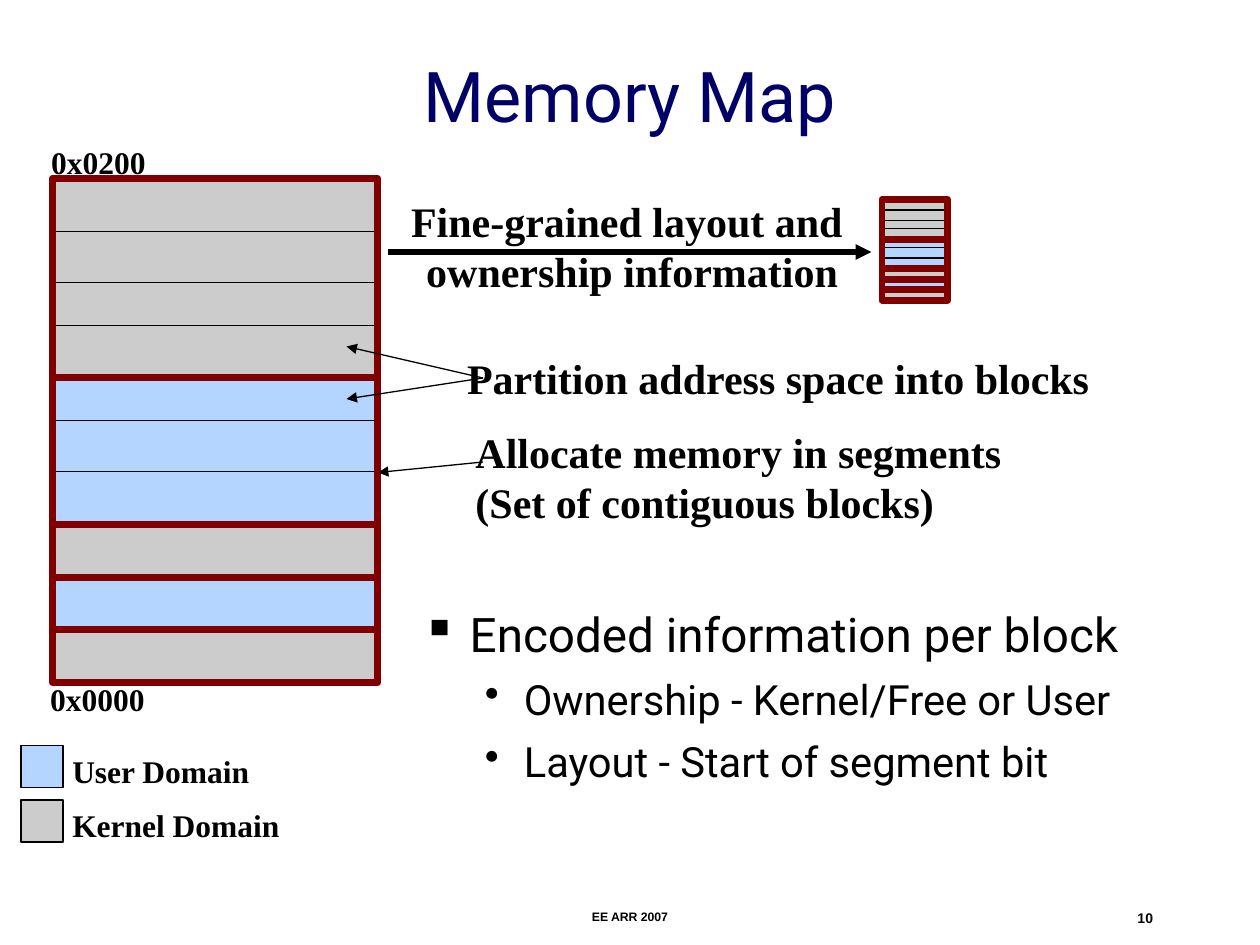
from lxml import etree
from pptx import Presentation
from pptx.dml.color import RGBColor
from pptx.enum.shapes import MSO_CONNECTOR, MSO_SHAPE
from pptx.enum.text import MSO_ANCHOR, PP_ALIGN
from pptx.oxml.ns import qn
from pptx.util import Inches, Pt

LEFT, CENTER, RIGHT = PP_ALIGN.LEFT, PP_ALIGN.CENTER, PP_ALIGN.RIGHT
TOP, MIDDLE = MSO_ANCHOR.TOP, MSO_ANCHOR.MIDDLE
RECT, STRAIGHT = MSO_SHAPE.RECTANGLE, MSO_CONNECTOR.STRAIGHT

COLORS = {
    "title": "000066",
    "ink": "000000",
    "user": "B4D5FF",
    "kernel": "CCCCCC",
    "segment": "800000",
}
SANS, SERIF, SMALL = "Roboto", "Times New Roman", "Arial"
COLS, ROWS = 120, 90

# Memory blocks from the top: row offset within the map, owner
BLOCK_HEIGHT = 4.92
BLOCKS = [
    (0.1, "kernel"), (5, "kernel"), (9.1, "kernel"), (13.9, "kernel"),
    (18.1, "user"), (23, "user"), (27.9, "user"),
    (33.1, "kernel"), (37.9, "user"), (43, "kernel"),
]
SEGMENT_ROWS = [19, 14, 5, 5, 5]


class SlideBuilder:
    """Draws on one slide; lengths are cells of a 120 by 90 grid."""

    def __init__(self, prs):
        self.s = prs.slides.add_slide(prs.slide_layouts[6])
        self.cell_w = prs.slide_width / COLS
        self.cell_h = prs.slide_height / ROWS

    def x(self, cols):
        return round(cols * self.cell_w)

    def y(self, rows):
        return round(rows * self.cell_h)

    def box(self, col, row, cols, rows):
        return self.x(col), self.y(row), self.x(cols), self.y(rows)

    def color(self, name):
        return RGBColor.from_string(COLORS[name])

    def text(self, at, lines, size, font=SERIF, color="ink", bold=True,
             align=LEFT, anchor=TOP):
        tf = self.s.shapes.add_textbox(*self.box(*at)).text_frame
        tf.word_wrap = True
        tf.vertical_anchor = anchor
        tf.text = "\n".join(lines)
        for p in tf.paragraphs:
            p.alignment = align
            self.style(p, size, font, color, bold)
        return tf

    def style(self, p, size, font, color, bold):
        for r in p.runs:
            r.font.size = Pt(size)
            r.font.name = font
            r.font.bold = bold
            r.font.color.rgb = self.color(color)

    def bullets(self, at, items):
        tf = self.text(at, [line for line, _ in items], 24, SANS, bold=False)
        levels = [(27.2, 8, 0.38, -0.38, "▪"), (23.8, 7, 0.81, -0.31, "•")]
        for p, (_, level) in zip(tf.paragraphs, items):
            size, before, margin, indent, char = levels[level]
            p.level = level
            p.space_before = Pt(before)
            self.style(p, size, SANS, "ink", False)
            pPr = p._p.get_or_add_pPr()
            pPr.set("marL", str(Inches(margin)))
            pPr.set("indent", str(Inches(indent)))
            bullet_color = etree.SubElement(pPr, qn("a:buClr"))
            etree.SubElement(bullet_color, qn("a:srgbClr"), val=COLORS["ink"])
            etree.SubElement(pPr, qn("a:buChar"), char=char)

    def rect(self, at, fill=None, line="ink", width=0.75, group=None):
        shapes = group.shapes if group else self.s.shapes
        sp = shapes.add_shape(RECT, *self.box(*at))
        sp.shadow.inherit = False
        if fill:
            sp.fill.solid()
            sp.fill.fore_color.rgb = self.color(fill)
        else:
            sp.fill.background()
        sp.line.color.rgb = self.color(line)
        sp.line.width = Pt(width)

    def arrow(self, start, end, width=0.75):
        cxn = self.s.shapes.add_connector(
            STRAIGHT, self.x(start[0]), self.y(start[1]),
            self.x(end[0]), self.y(end[1]))
        cxn.line.color.rgb = self.color("ink")
        cxn.line.width = Pt(width)
        etree.SubElement(cxn.line._get_or_add_ln(), qn("a:tailEnd"), type="triangle")
        etree.SubElement(cxn._element.spPr, qn("a:effectLst"))

    def memory_map(self, col, row, cols, scale=1):
        group = self.s.shapes.add_group_shape()
        # Lower blocks go first so that each upper block covers its overlap
        for offset, owner in reversed(BLOCKS):
            self.rect((col, row + offset * scale, cols, BLOCK_HEIGHT * scale),
                      owner, group=group)
        for rows in SEGMENT_ROWS:
            self.rect((col, row, cols, rows * scale), line="segment",
                      width=4, group=group)
            row += rows * scale


def main():
    prs = Presentation()
    prs.slide_width, prs.slide_height = Inches(10), Inches(7.5)
    b = SlideBuilder(prs)

    # Title
    b.text((9, 3, 102, 12), ["Memory Map"], 40, SANS, "title", False,
           CENTER, MIDDLE)

    # Address labels
    b.text((3.7, 13, 12.7, 4.8), ["0x0200"], 18)
    b.text((3.6, 64.2, 12.7, 4.8), ["0x0000"], 18)

    # Layout information arrow and caption
    b.arrow((37, 24), (83, 24), 3)
    b.text((34.7, 18, 51, 10.8),
           ["Fine-grained layout and ", "ownership information"], 24, align=CENTER)

    # Encoded information
    b.bullets((39, 57, 79, 23), [
        ("Encoded information per block", 0),
        ("Ownership - Kernel/Free or User", 1),
        ("Layout - Start of segment bit", 1),
    ])

    # Legend
    for row, owner, label in [(71, "user", "User Domain"),
                              (76.2, "kernel", "Kernel Domain")]:
        b.rect((2, row, 4, 4), owner)
        b.text((5.7, row, 24.6, 4.8), [label], 18)

    # Address space and its compact map
    b.memory_map(5, 17, 31)
    b.memory_map(84, 19, 6.25, 0.2)

    # Block and segment callouts
    b.text((43.3, 33, 72.1, 6), ["Partition address space into blocks"], 24)
    b.text((44.1, 40, 62, 10.8),
           ["Allocate memory in segments", "(Set of contiguous blocks)"], 24)
    for start, end in [((46, 36), (33, 33)), ((46, 44), (36, 45)),
                       ((46, 36), (33, 38))]:
        b.arrow(start, end)

    # Footer
    b.text((41, 86, 38, 2), ["EE ARR 2007"], 7, SMALL, align=CENTER)
    b.text((86, 86, 25, 2), ["10"], 8, SMALL, align=RIGHT)

    prs.save("out.pptx")


if __name__ == "__main__":
    main()
